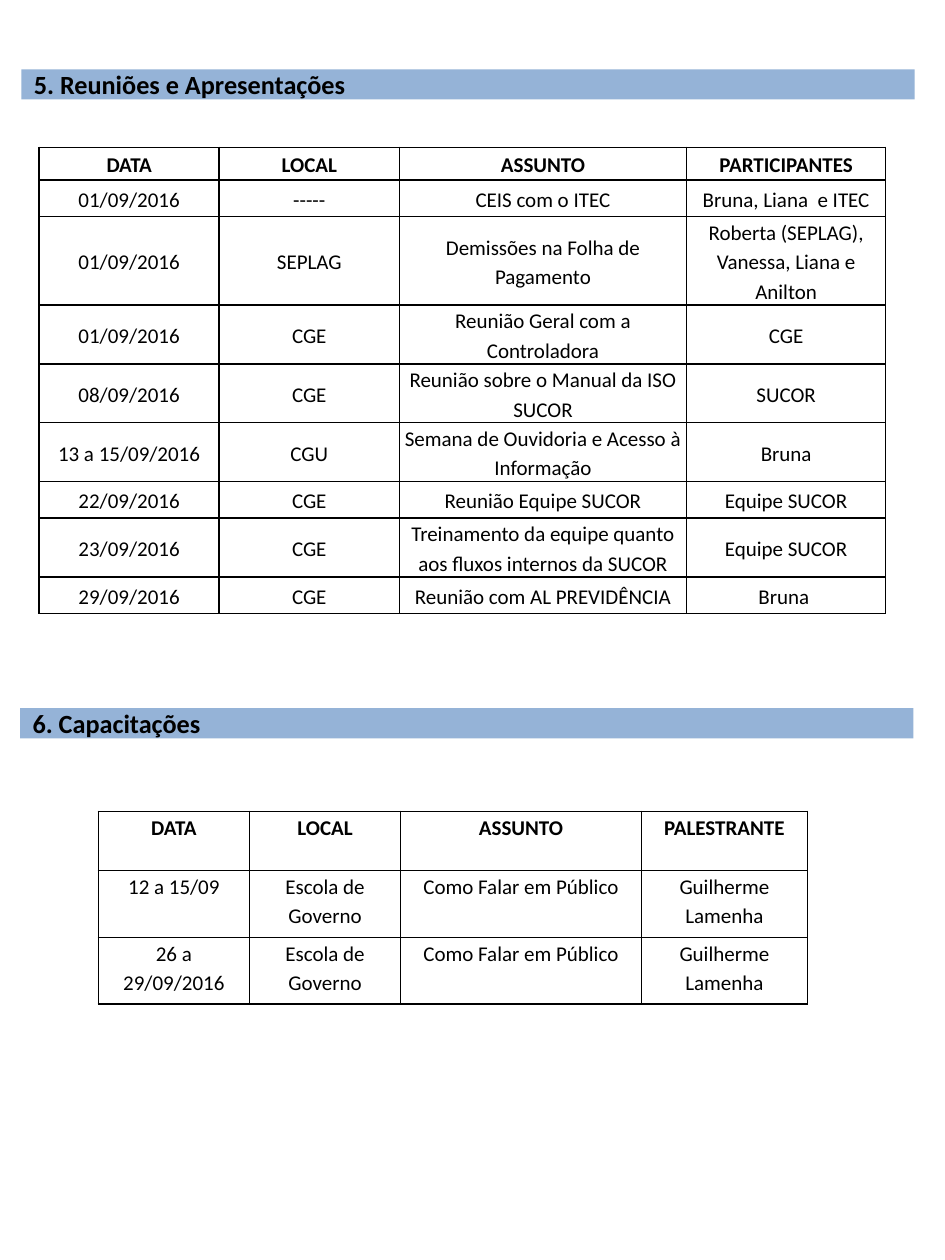
from lxml import etree
from pptx import Presentation
from pptx.dml.color import RGBColor
from pptx.enum.shapes import MSO_SHAPE
from pptx.enum.text import MSO_ANCHOR, PP_ALIGN
from pptx.oxml.ns import qn
from pptx.util import Inches, Pt

BLACK = RGBColor(0x00, 0x00, 0x00)
BLUE = RGBColor(0x95, 0xB3, 0xD7)
FONT = "Calibri"
HANGING = Inches(0.32)

MEETINGS = [
    ("DATA", "LOCAL", "ASSUNTO", "PARTICIPANTES"),
    ("01/09/2016", "-----", "CEIS com o ITEC", "Bruna, Liana  e ITEC"),
    ("01/09/2016", "SEPLAG", "Demissões na Folha de Pagamento",
     "Roberta (SEPLAG), Vanessa, Liana e Anilton"),
    ("01/09/2016", "CGE", "Reunião Geral com a Controladora", "CGE"),
    ("08/09/2016", "CGE", "Reunião sobre o Manual da ISO SUCOR", "SUCOR"),
    ("13 a 15/09/2016", "CGU", "Semana de Ouvidoria e Acesso à Informação", "Bruna"),
    ("22/09/2016", "CGE", "Reunião Equipe SUCOR", "Equipe SUCOR"),
    ("23/09/2016", "CGE", "Treinamento da equipe quanto aos fluxos internos da SUCOR",
     "Equipe SUCOR"),
    ("29/09/2016", "CGE", "Reunião com AL PREVIDÊNCIA", "Bruna "),
]
COURSES = [
    ("DATA", "LOCAL", "ASSUNTO", "PALESTRANTE"),
    ("12 a 15/09", "Escola de Governo", "Como Falar em Público", "Guilherme Lamenha"),
    ("26 a 29/09/2016", "Escola de Governo", "Como Falar em Público", "Guilherme Lamenha"),
]


def write(paragraph, text, size, bold):
    run = paragraph.add_run()
    run.text = text
    run.font.name, run.font.size, run.font.bold = FONT, Pt(size), bold
    run.font.color.rgb = BLACK


def add_heading(slide, text, left, top, width=7.09, height=0.24):
    bar = slide.shapes.add_shape(MSO_SHAPE.RECTANGLE, Inches(left), Inches(top),
                                 Inches(width), Inches(height))
    bar.shadow.inherit = False
    bar.fill.solid()
    bar.fill.fore_color.rgb = BLUE
    bar.line.fill.background()
    frame = bar.text_frame
    frame.word_wrap = True
    frame.vertical_anchor = MSO_ANCHOR.MIDDLE
    frame.paragraphs[0].alignment = PP_ALIGN.LEFT
    write(frame.paragraphs[0], text, 15, True)


def add_borders(cell):
    properties = cell._tc.get_or_add_tcPr()
    for position, side in enumerate(("lnL", "lnR", "lnT", "lnB")):
        line = etree.Element(qn("a:" + side), w=str(Pt(1)))
        fill = etree.SubElement(line, qn("a:solidFill"))
        etree.SubElement(fill, qn("a:srgbClr"), val=str(BLACK))
        properties.insert(position, line)


def fill_cell(cell, text, anchor, is_header, is_last):
    cell.fill.background()
    cell.vertical_anchor = anchor
    cell.margin_left = cell.margin_right = Inches(0.04)
    cell.margin_top = cell.margin_bottom = 0
    paragraph = cell.text_frame.paragraphs[0]
    paragraph.alignment = PP_ALIGN.CENTER
    paragraph.line_spacing = 1.15
    paragraph.space_after = Pt(10)
    if is_header and is_last:
        properties = paragraph._p.get_or_add_pPr()
        properties.set("marL", str(HANGING))
        properties.set("indent", str(-HANGING))
    write(paragraph, text, 12, is_header)
    add_borders(cell)


def add_schedule(slide, rows, left, top, widths, heights, anchor):
    table = slide.shapes.add_table(len(rows), len(widths), Inches(left), Inches(top),
                                   Inches(sum(widths)), Inches(sum(heights))).table
    table.horz_banding = False
    for column, width in zip(table.columns, widths):
        column.width = Inches(width)
    for r, (texts, height) in enumerate(zip(rows, heights)):
        table.rows[r].height = Inches(height)
        for c, text in enumerate(texts):
            fill_cell(table.cell(r, c), text, anchor, r == 0, c == len(texts) - 1)


presentation = Presentation()
presentation.slide_width, presentation.slide_height = Inches(7.5), Inches(10)
slide = presentation.slides.add_slide(presentation.slide_layouts[6])

# Meetings and presentations
add_heading(slide, "5. Reuniões e Apresentações", 0.17, 0.55)
add_schedule(slide, MEETINGS, 0.31, 1.17, [1.43, 1.43, 2.28, 1.58],
             [0.26, 0.29, 0.63, 0.42, 0.42, 0.42, 0.29, 0.42, 0.29], MSO_ANCHOR.MIDDLE)

# Training courses
add_heading(slide, "6. Capacitações", 0.16, 5.62)
add_schedule(slide, COURSES, 0.78, 6.44, [1.2, 1.2, 1.91, 1.32],
             [0.47, 0.53, 0.53], MSO_ANCHOR.TOP)

presentation.save("out.pptx")
